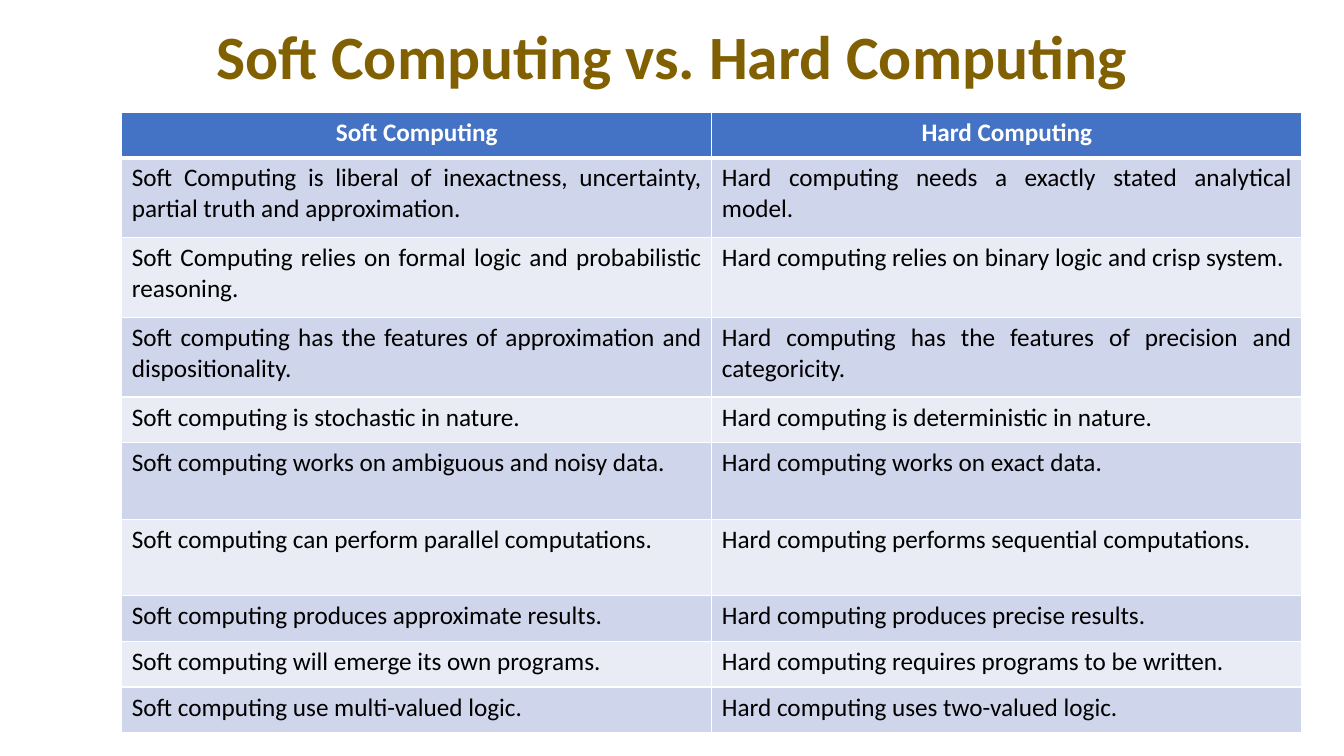
from dataclasses import dataclass

from lxml import etree
from pptx import Presentation
from pptx.dml.color import RGBColor
from pptx.enum.text import MSO_ANCHOR, MSO_AUTO_SIZE, PP_ALIGN
from pptx.oxml.ns import qn
from pptx.util import Cm, Pt

CENTER, JUSTIFY = PP_ALIGN.CENTER, PP_ALIGN.JUSTIFY
MIDDLE = MSO_ANCHOR.MIDDLE
NO_AUTOFIT = MSO_AUTO_SIZE.NONE
TITLE_ONLY = 5


@dataclass(frozen=True)
class Theme:
    font: str = "Calibri"
    title_size: int = 44
    table_size: int = 18
    title: str = "806000"
    header: str = "4472C4"
    header_text: str = "FFFFFF"
    body_text: str = "000000"
    bands: tuple = ("CFD5EA", "E9EBF5")
    border: str = "FFFFFF"
    border_width: int = 1
    header_border_width: int = 3


THEME = Theme()

TITLE = "Soft Computing vs. Hard Computing"
HEADERS = ("Soft Computing", "Hard Computing")
# Row height in centimetres, then the two statements compared
COMPARISONS = [
    (2.01, "Soft Computing is liberal of inexactness, uncertainty, partial truth and approximation.",
     "Hard computing needs a exactly stated analytical model."),
    (2.01, "Soft Computing relies on formal logic and probabilistic reasoning.",
     "Hard computing relies on binary logic and crisp system."),
    (2.01, "Soft computing has the features of approximation and dispositionality.",
     "Hard computing has the features of precision and categoricity."),
    (1.15, "Soft computing is stochastic in nature.",
     "Hard computing is deterministic in nature."),
    (1.93, "Soft computing works on ambiguous and noisy data.",
     "Hard computing works on exact data."),
    (1.93, "Soft computing can perform parallel computations.",
     "Hard computing performs sequential computations."),
    (1.15, "Soft computing produces approximate results.",
     "Hard computing produces precise results."),
    (1.15, "Soft computing will emerge its own programs.",
     "Hard computing requires programs to be written."),
    (1.15, "Soft computing use multi-valued logic.",
     "Hard computing uses two-valued logic."),
]
HEADER_HEIGHT = 1.15
COLUMN_WIDTH = 14.87


def set_text(text_frame, text, size, color, bold, alignment):
    text_frame.text = text
    paragraph = text_frame.paragraphs[0]
    paragraph.alignment = alignment
    font = paragraph.runs[0].font
    font.name = THEME.font
    font.size = Pt(size)
    font.bold = bold
    font.color.rgb = RGBColor.from_string(color)
    return paragraph


def add_title(slide):
    title = slide.shapes.title
    title.left, title.top = Cm(2.33), Cm(0.05)
    title.width, title.height = Cm(29.21), Cm(2.9)
    text_frame = title.text_frame
    paragraph = set_text(text_frame, TITLE, THEME.title_size, THEME.title, True, CENTER)
    paragraph.line_spacing = 0.9
    text_frame.word_wrap = True
    text_frame.auto_size = NO_AUTOFIT
    text_frame.vertical_anchor = MIDDLE


def set_borders(cell, top, bottom):
    """Draw the four cell borders; top and bottom are widths in points."""
    side = THEME.border_width
    properties = cell._tc.get_or_add_tcPr()
    for tag, width in (("a:lnL", side), ("a:lnR", side), ("a:lnT", top), ("a:lnB", bottom)):
        line = etree.SubElement(properties, qn(tag), w=str(Pt(width)))
        fill = etree.SubElement(line, qn("a:solidFill"))
        etree.SubElement(fill, qn("a:srgbClr"), val=THEME.border)


def fill_cell(cell, text, row_index):
    is_header = row_index == 0
    thin, thick = THEME.border_width, THEME.header_border_width
    # Borders precede the fill in the cell properties
    set_borders(cell, thick if row_index == 1 else thin, thick if is_header else thin)
    background = THEME.header if is_header else THEME.bands[(row_index - 1) % 2]
    cell.fill.solid()
    cell.fill.fore_color.rgb = RGBColor.from_string(background)
    set_text(cell.text_frame, text, THEME.table_size,
             THEME.header_text if is_header else THEME.body_text,
             is_header, CENTER if is_header else JUSTIFY)


def add_comparison_table(slide):
    rows = [(HEADER_HEIGHT, *HEADERS), *COMPARISONS]
    total_height = sum(height for height, *_ in rows)
    table = slide.shapes.add_table(len(rows), len(HEADERS), Cm(3.07), Cm(2.83),
                                   Cm(COLUMN_WIDTH * len(HEADERS)), Cm(total_height)).table
    for column in table.columns:
        column.width = Cm(COLUMN_WIDTH)
    for row_index, (height, *texts) in enumerate(rows):
        table.rows[row_index].height = Cm(height)
        for column_index, text in enumerate(texts):
            fill_cell(table.cell(row_index, column_index), text, row_index)


def main():
    presentation = Presentation()
    presentation.slide_width, presentation.slide_height = Cm(33.87), Cm(19.05)
    slide = presentation.slides.add_slide(presentation.slide_layouts[TITLE_ONLY])
    add_title(slide)
    add_comparison_table(slide)
    presentation.save("out.pptx")


if __name__ == "__main__":
    main()
